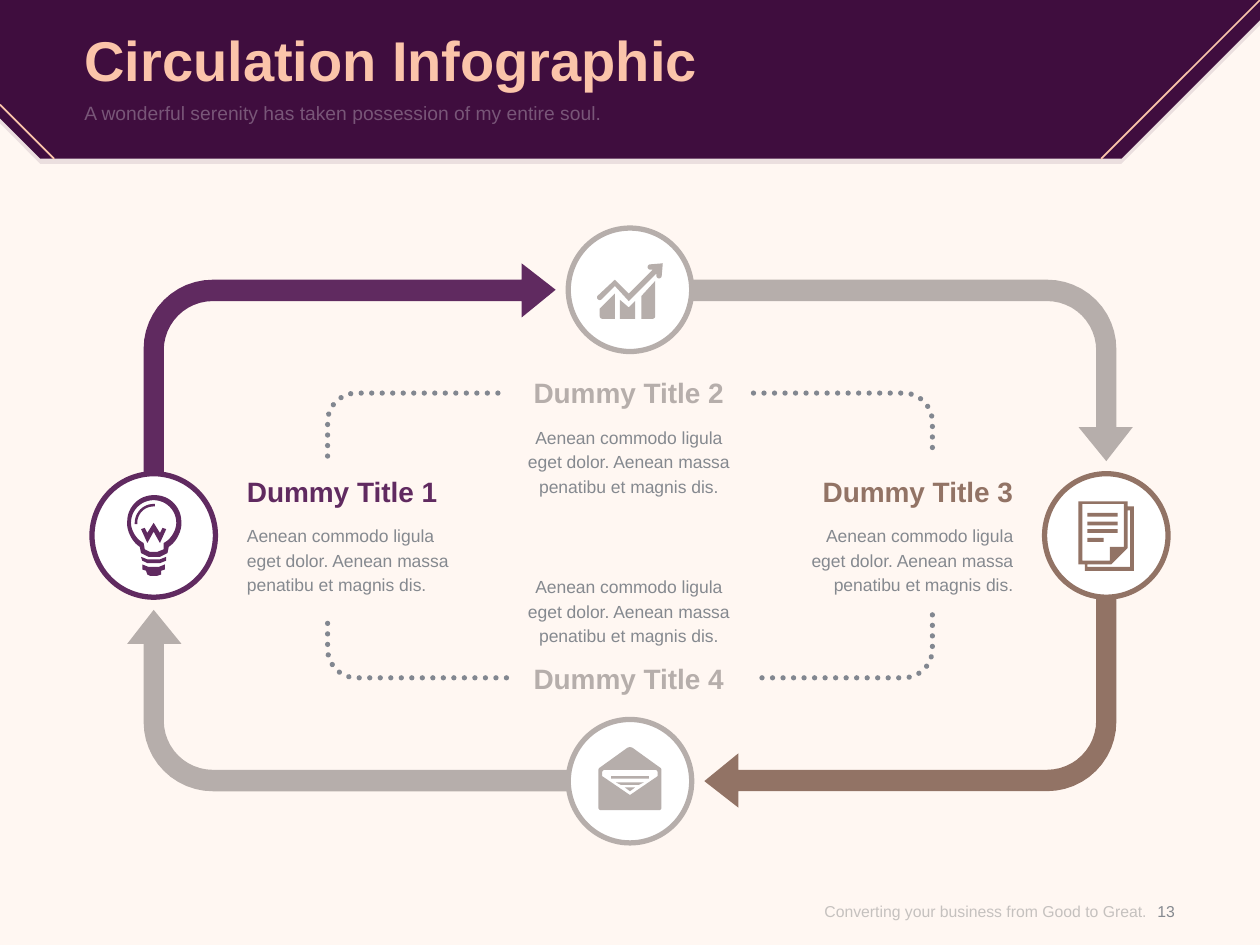
from math import cos, dist, pi, sin

from pptx import Presentation
from pptx.dml.color import RGBColor
from pptx.enum.dml import MSO_LINE
from pptx.enum.shapes import MSO_CONNECTOR, MSO_SHAPE
from pptx.enum.text import MSO_ANCHOR, MSO_AUTO_SIZE, PP_ALIGN
from pptx.oxml.ns import qn
from pptx.util import Inches, Pt

STRAIGHT, OVAL, DOTS = MSO_CONNECTOR.STRAIGHT, MSO_SHAPE.OVAL, MSO_LINE.ROUND_DOT
LEFT, CENTER, RIGHT = PP_ALIGN.LEFT, PP_ALIGN.CENTER, PP_ALIGN.RIGHT
TOP, MIDDLE, BOTTOM = MSO_ANCHOR.TOP, MSO_ANCHOR.MIDDLE, MSO_ANCHOR.BOTTOM
NO_AUTOFIT = MSO_AUTO_SIZE.NONE

PLUM, PURPLE, BROWN, TAUPE = "3F0D3E", "602A60", "927365", "B6AEAB"
CREAM, PEACH, WHITE, GREY, DOT_GREY = "FFF7F2", "FBC4AA", "FFFFFF", "85898F", "828790"
WIDTH, HEIGHT = 10, 7.5
MIDDLE_Y = 4.25


def paint(fill, colour, owner=None, opacity=100):
    """Set a solid colour; owner is the shape whose last colour turns translucent."""
    fill.solid()
    fill.fore_color.rgb = RGBColor.from_string(colour)
    if opacity < 100:
        last_colour = list(owner.element.iter(qn("a:srgbClr")))[-1]
        alpha = last_colour.makeelement(qn("a:alpha"), {"val": str(opacity * 1000)})
        last_colour.append(alpha)


def write(box, text, *, place, size, colour, opacity=100, bold=False,
          align=LEFT, anchor=TOP, spacing=None):
    box.left, box.top, box.width, box.height = map(Inches, place)
    frame = box.text_frame
    frame.auto_size = NO_AUTOFIT
    frame.word_wrap = True
    frame.vertical_anchor = anchor
    frame.margin_left = frame.margin_top = frame.margin_right = frame.margin_bottom = 0
    para = frame.paragraphs[0]
    para.alignment = align
    para.space_before = Pt(0)
    if spacing:
        para.line_spacing = Pt(spacing)
    span = para.add_run()
    span.text = text
    span.font.name, span.font.size, span.font.bold = "Arial", Pt(size), bold
    paint(span.font.fill, colour, box, opacity)


deck = Presentation()
deck.slide_width, deck.slide_height = Inches(WIDTH), Inches(HEIGHT)
page = deck.slides.add_slide(deck.slide_layouts[1])
paint(page.background.fill, CREAM)
shapes = page.shapes

# Outlines are lists of contours; a third number on a point is its corner radius.
header = [(0, 0), (10, 0), (10, 0.16), (8.9, 1.26), (0.32, 1.26), (0, 0.94)]
header_shadow = [(x, y + 0.04) for x, y in header]

up_and_right = [(4.14, 2.52), (4.14, 2.39), (1.3, 2.39, 0.39), (1.3, 4.25), (1.14, 4.25),
                (1.14, 2.22, 0.55), (4.14, 2.22), (4.14, 2.09), (4.41, 2.3)]
right_and_down = [(5, 2.22), (8.86, 2.22, 0.55), (8.86, 3.39), (8.99, 3.39), (8.78, 3.66),
                  (8.56, 3.39), (8.7, 3.39), (8.7, 2.39, 0.39), (5, 2.39)]
down_and_left, left_and_up = [
    [(WIDTH - x, 2 * MIDDLE_Y - y, *radius) for x, y, *radius in arrow]
    for arrow in (up_and_right, right_and_down)]

bulb = [
    [(1.12, 4.42), (1.17, 4.44), (1.27, 4.44), (1.32, 4.42),
     (1.32, 4.45), (1.27, 4.47), (1.17, 4.47), (1.13, 4.45)],
    [(1.13, 4.48), (1.18, 4.5), (1.26, 4.5), (1.31, 4.48), (1.31, 4.52), (1.28, 4.53),
     (1.28, 4.56), (1.25, 4.57), (1.19, 4.57), (1.17, 4.56), (1.16, 4.53), (1.13, 4.52)],
    [(1.07, 4.16), (1.07, 4, 0.15), (1.23, 4), (1.23, 4.02), (1.09, 4.02, 0.13), (1.09, 4.16)],
    [(1.27, 4.23), (1.22, 4.15), (1.17, 4.23), (1.15, 4.19), (1.12, 4.2), (1.17, 4.31),
     (1.22, 4.22), (1.27, 4.31), (1.32, 4.2), (1.29, 4.19)],
    [(1.01, 3.93, 0.21), (1.44, 3.93, 0.21), (1.44, 4.27, 0.11), (1.34, 4.34), (1.33, 4.39),
     (1.27, 4.42), (1.18, 4.42), (1.12, 4.39), (1.11, 4.34), (1.01, 4.27, 0.11)],
    [(1.04, 3.97, 0.18), (1.4, 3.97, 0.18), (1.4, 4.25, 0.1), (1.3, 4.31), (1.3, 4.36),
     (1.25, 4.38), (1.19, 4.38), (1.15, 4.36), (1.14, 4.31), (1.04, 4.25, 0.1)],
]
growth_chart = [
    [(4.76, 2.45), (4.88, 2.33), (4.88, 2.53), (4.76, 2.53, 0.02)],
    [(4.92, 2.38), (4.99, 2.44), (5.04, 2.39), (5.04, 2.53), (4.92, 2.53)],
    [(5.09, 2.35), (5.2, 2.23), (5.2, 2.53, 0.02), (5.09, 2.53)],
    [(5.14, 2.1, 0.02), (5.26, 2.09), (5.25, 2.21, 0.02), (5.21, 2.21, 0.02), (5.21, 2.17),
     (4.99, 2.39), (4.88, 2.27), (4.76, 2.39, 0.02), (4.73, 2.36, 0.02), (4.88, 2.22),
     (4.99, 2.33), (5.18, 2.14), (5.14, 2.14, 0.02)],
]
text_lines = [[(8.63, top), (right, top), (right, top + 0.03), (8.63, top + 0.03)]
              for top, right in ((4.07, 8.87), (4.14, 8.87), (4.2, 8.87), (4.27, 8.76))]
document = text_lines + [
    [(8.56, 3.98), (8.95, 3.98), (8.95, 4.02), (9, 4.02), (9, 4.53), (8.61, 4.53),
     (8.61, 4.48), (8.56, 4.48)],
    [(8.59, 4), (8.92, 4), (8.92, 4.34), (8.81, 4.34), (8.81, 4.45), (8.59, 4.45)],
    [(8.63, 4.5), (8.63, 4.48), (8.82, 4.48), (8.95, 4.35), (8.95, 4.05), (8.97, 4.05),
     (8.97, 4.5)],
]
envelope = [
    [(4.89, 6.21), (5.11, 6.21), (5.07, 6.23), (4.93, 6.23)],
    [(4.96, 6.25), (5.04, 6.25), (5, 6.28)],
    [(4.85, 6.16), (5.15, 6.16), (5.15, 6.18), (4.85, 6.18)],
    [(4.75, 6.1, 0.01), (5, 5.92, 0.03), (5.25, 6.1, 0.01), (5.25, 6.43, 0.02),
     (4.75, 6.43, 0.02)],
    [(4.78, 6.11, 0.02), (5.22, 6.11, 0.02), (5.22, 6.16), (5, 6.31), (4.78, 6.16)],
]

dotted_corner = [(2.6, 3.62), (2.6, 3.12, 0.23), (4.02, 3.12)]
dotted_corners = [
    [(5 + flip_x * (x - 5), MIDDLE_Y + flip_y * (y - MIDDLE_Y), *radius)
     for x, y, *radius in dotted_corner][::flip_x * flip_y]
    for flip_y in (-1, 1) for flip_x in (1, -1)]

outlines = [
    ([header_shadow], PLUM, {"opacity": 10}),
    ([header], PLUM, {}),
    ([up_and_right], PURPLE, {}),
    ([down_and_left], BROWN, {}),
    ([right_and_down], TAUPE, {}),
    ([left_and_up], TAUPE, {}),
    (bulb, PURPLE, {"ring": (1.22, 4.25)}),
    (document, BROWN, {"ring": (8.78, 4.25)}),
    (growth_chart, TAUPE, {"ring": (5, 2.3)}),
    (envelope, TAUPE, {"ring": (5, 6.2)}),
    *[([corner], DOT_GREY, {"dotted": True}) for corner in dotted_corners],
]

for contours, colour, options in outlines:
    if "ring" in options:
        center_x, center_y = options["ring"]
        ring = shapes.add_shape(OVAL, Inches(center_x - 0.49), Inches(center_y - 0.49),
                                Inches(0.98), Inches(0.98))
        ring.shadow.inherit = False
        paint(ring.fill, WHITE)
        paint(ring.line.fill, colour)
        ring.line.width = Pt(3)

    dotted = options.get("dotted", False)
    builder = None
    for contour in contours:
        points = []
        for index, (x, y, *radius) in enumerate(contour):
            if not radius:
                points.append((Inches(x), Inches(y)))
                continue
            before, after = contour[index - 1], contour[(index + 1) % len(contour)]
            pull_before = radius[0] / dist((x, y), before[:2])
            pull_after = radius[0] / dist((x, y), after[:2])
            for step in range(13):
                angle = step * pi / 24
                back, ahead = pull_before * (1 - sin(angle)), pull_after * (1 - cos(angle))
                points.append((Inches(x + back * (before[0] - x) + ahead * (after[0] - x)),
                               Inches(y + back * (before[1] - y) + ahead * (after[1] - y))))
        if builder is None:
            builder = shapes.build_freeform(*points[0])
        else:
            builder.move_to(*points[0])
        builder.add_line_segments(points[1:], close=not dotted)
    outline = builder.convert_to_shape()
    outline.shadow.inherit = False
    if dotted:
        outline.fill.background()
        paint(outline.line.fill, colour)
        outline.line.width = Pt(3)
        outline.line.dash_style = DOTS
        outline.line._get_or_add_ln().set("cap", "rnd")
    else:
        paint(outline.fill, colour, outline, options.get("opacity", 100))
        outline.line.fill.background()

for ends in ((10, 0, 8.74, 1.26), (0.43, 1.26, 0, 0.83)):
    trim = shapes.add_connector(STRAIGHT, *map(Inches, ends))
    paint(trim.line.fill, PEACH)
    trim.line.width = Pt(1)
    properties = trim.element.spPr
    properties.append(properties.makeelement(qn("a:effectLst"), {}))

# The placeholders come forward so that the header lies behind them.
title, subtitle = shapes.title, page.placeholders[1]
for holder in (title, subtitle):
    holder.element.getparent().append(holder.element)
write(title, "Circulation Infographic", place=(0.67, 0.14, 8.66, 0.65), size=32,
      colour=PEACH, bold=True, anchor=MIDDLE)
write(subtitle, "A wonderful serenity has taken possession of my entire soul.",
      place=(0.67, 0.8, 8.66, 0.39), size=11, colour=WHITE, opacity=30)
layout = subtitle.text_frame.paragraphs[0]._p.get_or_add_pPr()
layout.set("marL", "0")
layout.set("indent", "0")
layout.append(layout.makeelement(qn("a:buNone"), {}))

for number, colour, left, title_top, body_top, align, anchor in (
        (1, PURPLE, 1.96, 3.77, 4.14, LEFT, TOP),
        (3, BROWN, 6.32, 3.77, 4.14, RIGHT, TOP),
        (2, TAUPE, 4.13, 2.98, 3.36, CENTER, TOP),
        (4, TAUPE, 4.13, 5.25, 4.34, CENTER, BOTTOM)):
    write(shapes.add_textbox(0, 0, 0, 0),
          "Aenean commodo ligula eget dolor. Aenean massa penatibu et magnis dis.",
          place=(left, body_top, 1.72, 0.79), size=10, colour=GREY, align=align,
          anchor=anchor, spacing=14)
    write(shapes.add_textbox(0, 0, 0, 0), f"Dummy Title {number}",
          place=(left, title_top, 1.72, 0.27), size=16, colour=colour, bold=True, align=align)

write(shapes.add_textbox(0, 0, 0, 0), "Converting your business from Good to Great.",
      place=(6.04, 6.96, 3.06, 0.54), size=9, colour="8C8C8C", opacity=50,
      align=RIGHT, anchor=MIDDLE)
write(shapes.add_textbox(0, 0, 0, 0), "13", place=(9.02, 6.96, 0.47, 0.54), size=9,
      colour=GREY, align=CENTER, anchor=MIDDLE)

deck.save("out.pptx")
